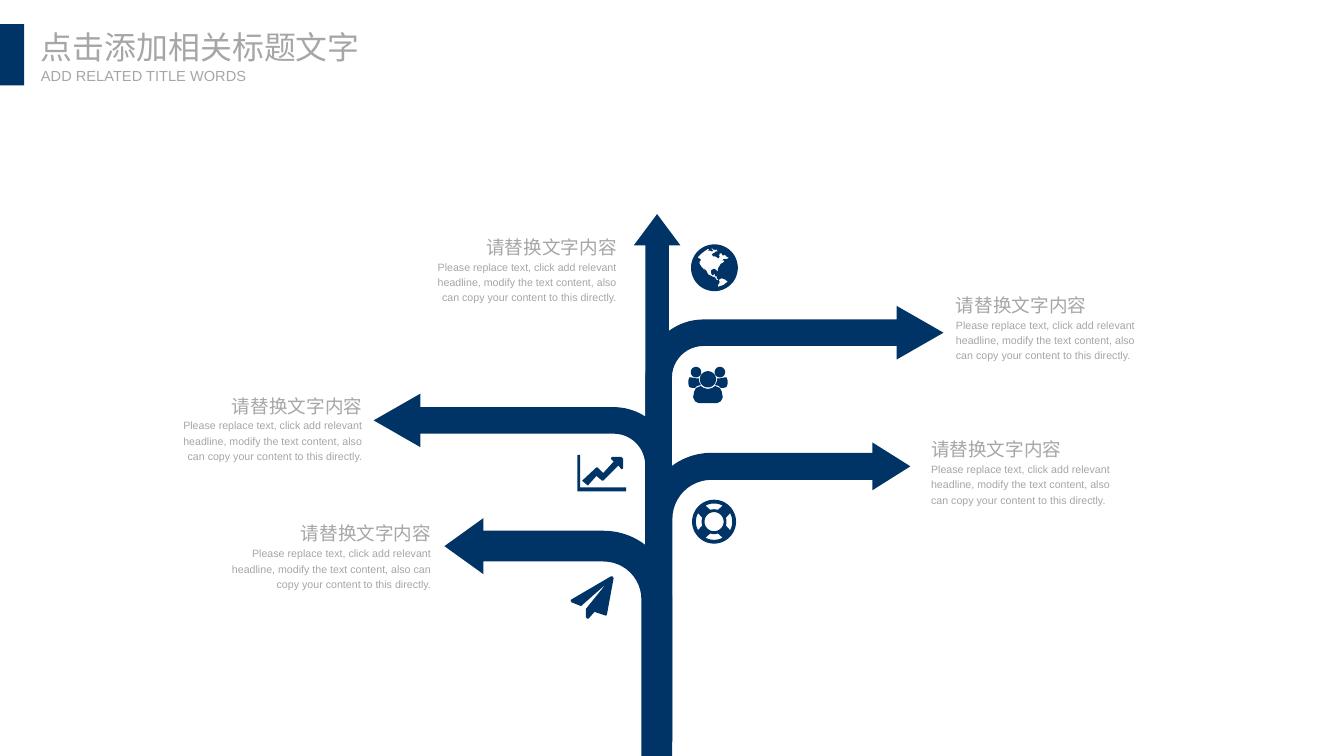
from math import cos, radians, sin

from pptx import Presentation
from pptx.dml.color import RGBColor
from pptx.enum.shapes import MSO_SHAPE as Preset
from pptx.enum.text import MSO_AUTO_SIZE as AutoSize, PP_ALIGN as Align
from pptx.util import Cm, Pt

# Content: lengths in cm, arrow adjustments in percent
NAVY, GREY = "003366", "A6A6A6"
TITLE = "点击添加相关标题文字"
SUBTITLE = "ADD RELATED TITLE WORDS"
BRANCH_LINES = [
    ("请替换文字内容", 14),
    ("Please replace text, click add relevant headline, modify the text content, "
     "also can copy your content to this directly.", 8),
]
BRANCH_TEXTS = [  # left, top, width, alignment
    (5.87, 13.64, 5.84, Align.RIGHT),
    (4.11, 10.24, 5.77, Align.RIGHT),
    (24.49, 11.4, 5.77, Align.LEFT),
    (10.87, 6.02, 5.77, Align.RIGHT),
    (25.15, 7.57, 5.77, Align.LEFT),
]
ARROWS = [  # preset, left, top, width, height, mirrored, adjustments
    (Preset.UP_ARROW, 16.84, 5.69, 1.24, 14, False, (50, 67.1)),
    (Preset.BENT_ARROW, 17.15, 8.13, 7.92, 11.56, False, (8.9, 9, 15.7, 19.5)),
    (Preset.BENT_ARROW, 9.93, 10.46, 7.92, 9.25, True, (8.9, 9, 15.7, 19.5)),
    (Preset.BENT_ARROW, 17.15, 11.76, 7.04, 7.95, False, (10.2, 9, 14.3, 24.9)),
    (Preset.BENT_ARROW, 11.81, 13.77, 6.05, 6.32, True, (13.5, 12.3, 17.1, 30.1)),
]

# Icon outlines, in hundredths of an inch from the icon's corner
ICON_UNIT = Cm(2.54) / 100
PLANE = [(45, 2), (38, 40), (37, 41), (25, 37), (19, 44), (17, 44), (16, 42), (16, 34),
         (37, 8), (11, 31), (1, 27), (0, 25), (1, 24), (42, 0), (44, 0)]
CHART_AXES = [(51, 38), (0, 38), (0, 0), (3, 0), (3, 34), (51, 34)]
CHART_TREND = [(48, 14), (46, 15), (43, 11), (27, 27), (26, 27), (20, 22), (11, 32),
               (5, 27), (20, 13), (21, 13), (27, 19), (38, 7), (35, 4), (36, 2),
               (46, 2), (48, 4)]
SIDE_BODY = [(7, 22), (4, 22), (1, 21), (0, 18), (0, 14), (1, 11), (3, 11), (8, 12),
             (11, 12), (11, 15), (13, 19), (9, 20)]
HALF_BODY = [(11, 38), (7, 36), (5, 32), (6, 26), (8, 22), (13, 20), (16, 22), (20, 23)]
PEOPLE_WIDTH = 41
AMERICAS = [
    (33, 18), (34, 16), (37, 16), (39, 15), (39, 14), (38, 14), (36, 12), (35, 11),
    (35, 12), (33, 12), (32, 10), (30, 10), (30, 11), (29, 12), (30, 13), (29, 15),
    (28, 15), (27, 14), (25, 13), (23, 13), (22, 11), (23, 10), (25, 9), (26, 8),
    (28, 8), (27, 6), (26, 6), (25, 7), (25, 6), (23, 6), (23, 5), (21, 5), (22, 6),
    (23, 7), (22, 8), (20, 7), (18, 7), (19, 6), (18, 5), (15, 7), (11, 10), (7, 14),
    (8, 15), (10, 16), (10, 18), (9, 18), (9, 21), (11, 24), (13, 26), (14, 28),
    (15, 29), (14, 27), (14, 26), (16, 28), (17, 30), (18, 32), (20, 33), (22, 34),
    (25, 35), (27, 38), (29, 38), (27, 36), (27, 34), (25, 34), (25, 31), (24, 32),
    (22, 33), (21, 30), (21, 28), (22, 27), (24, 26), (26, 27), (28, 29), (28, 27),
    (29, 24), (30, 23), (31, 21), (33, 20), (35, 18), (34, 17)]
SOUTH = [(39, 39), (38, 39), (35, 37), (32, 36), (30, 37), (29, 38), (30, 40), (29, 42),
         (28, 43), (28, 45), (34, 43)]


def arc(center_x, center_y, radius, start=0, end=360, steps=48):
    angles = [radians(start + (end - start) * i / steps) for i in range(steps + 1)]
    return [(center_x + radius * cos(a), center_y + radius * sin(a)) for a in angles]


def mirror(points):
    return [(PEOPLE_WIDTH - x, y) for x, y in reversed(points)]


def buoy_gap(middle):
    outer = arc(23, 23, 19, middle - 28, middle + 28, 12)
    inner = arc(23, 23, 13, middle + 18, middle - 18, 12)
    return outer + inner


side_head = arc(8, 5.5, 5.5)
people = [side_head, mirror(side_head), SIDE_BODY, mirror(SIDE_BODY),
          arc(PEOPLE_WIDTH / 2, 13, 8.5), HALF_BODY + mirror(HALF_BODY)]
buoy = [arc(23, 23, 23), arc(23, 23, 10)] + [buoy_gap(m) for m in (0, 90, 180, 270)]
ICONS = [  # left, top, outlines
    (15.16, 15.32, [PLANE]),
    (18.36, 6.48, [arc(24.5, 25, 24.5), AMERICAS, SOUTH]),
    (15.34, 12.09, [CHART_AXES, CHART_TREND]),
    (18.39, 13.28, buoy),
    (18.29, 9.75, people),
]

deck = Presentation()
deck.slide_width, deck.slide_height = Cm(35.71), Cm(20.09)
page = deck.slides.add_slide(deck.slide_layouts[6])


def color(code):
    return RGBColor.from_string(code)


def paint(shape):
    shape.shadow.inherit = False
    shape.fill.solid()
    shape.fill.fore_color.rgb = color(NAVY)
    shape.line.fill.background()


def add_preset(preset, left, top, width, height):
    shape = page.shapes.add_shape(preset, Cm(left), Cm(top), Cm(width), Cm(height))
    paint(shape)
    return shape


def add_icon(left, top, outlines):
    outlines = [[(Cm(left) + x * ICON_UNIT, Cm(top) + y * ICON_UNIT) for x, y in outline]
                for outline in outlines]
    builder = page.shapes.build_freeform(*outlines[0][0])
    for outline in outlines:
        builder.move_to(*outline[0])
        builder.add_line_segments(outline[1:], close=True)
    paint(builder.convert_to_shape())


def add_text(lines, left, top, width, height, font="Arial", align=Align.LEFT,
             spacing=None, wrap=True, inset=None):
    box = page.shapes.add_textbox(Cm(left), Cm(top), Cm(width), Cm(height))
    frame = box.text_frame
    frame.word_wrap = wrap
    frame.auto_size = AutoSize.SHAPE_TO_FIT_TEXT
    if inset is not None:
        frame.margin_left = frame.margin_right = Cm(inset)
        frame.margin_top = frame.margin_bottom = Cm(inset)
    for index, (text, size) in enumerate(lines):
        para = frame.add_paragraph() if index else frame.paragraphs[0]
        para.alignment = align
        para.line_spacing = spacing
        span = para.add_run()
        span.text = text
        span.font.name = font
        span.font.size = Pt(size)
        span.font.color.rgb = color(GREY)


# Arrow tree
for preset, left, top, width, height, mirrored, percents in ARROWS:
    arrow = add_preset(preset, left, top, width, height)
    for index, percent in enumerate(percents):
        arrow.adjustments[index] = percent / 100
    if mirrored:
        arrow._element.spPr.xfrm.set("flipH", "1")

# Branch texts and icons
for left, top, width, align in BRANCH_TEXTS:
    add_text(BRANCH_LINES, left, top, width, 2.21, align=align, spacing=1.2)
for left, top, outlines in ICONS:
    add_icon(left, top, outlines)

# Heading
add_preset(Preset.RECTANGLE, 0, 0.64, 0.64, 1.63)
add_text([(TITLE, 24)], 1.09, 0.74, 8.56, 1.02, font="Noto Sans CJK SC", wrap=False, inset=0)
add_text([(SUBTITLE, 11)], 1.09, 1.78, 5.54, 0.48, wrap=False, inset=0)

deck.save("out.pptx")
